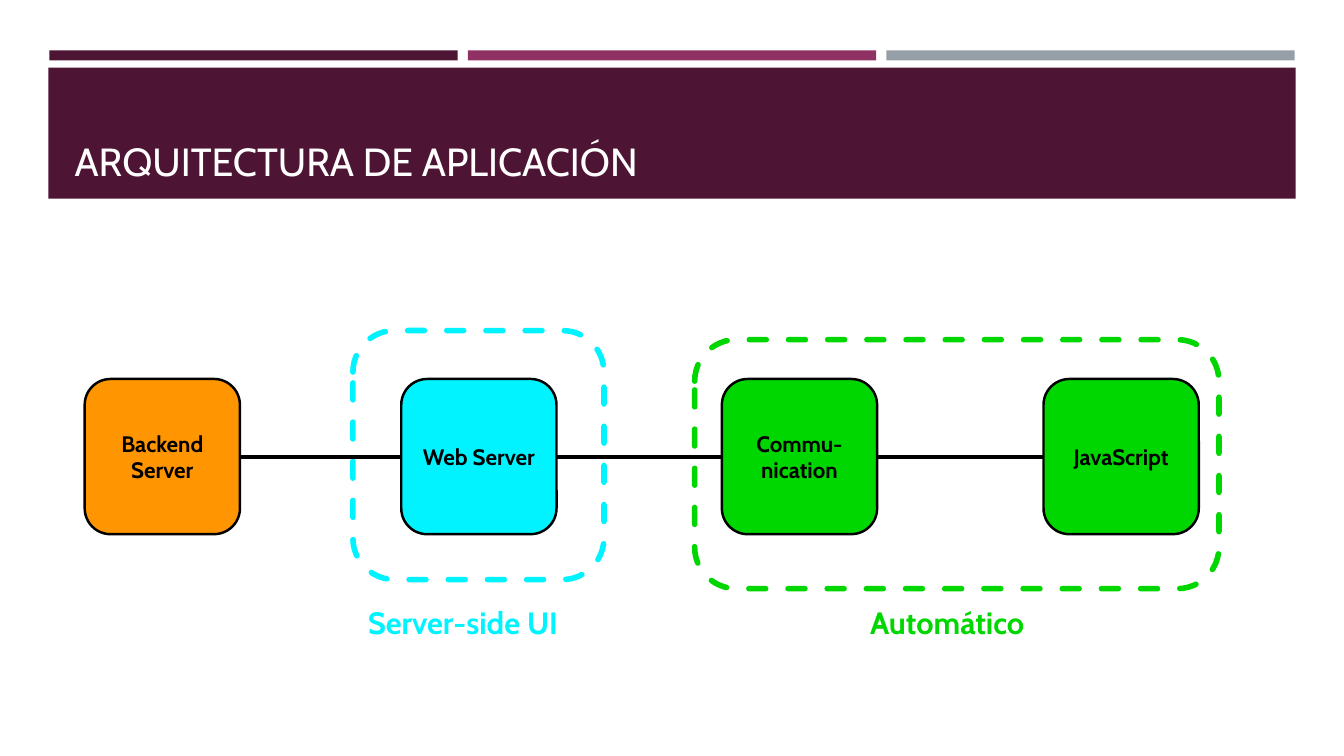
from pptx import Presentation
from pptx.dml.color import RGBColor
from pptx.enum.dml import MSO_LINE
from pptx.enum.shapes import MSO_CONNECTOR, MSO_SHAPE
from pptx.enum.text import MSO_ANCHOR, PP_ALIGN
from pptx.oxml.ns import qn
from pptx.util import Inches, Pt
from lxml.etree import SubElement

COLORS = {
    "plum": "4D1434", "berry": "903163", "gray": "969FA7",
    "green": "00D700", "cyan": "00F3FF", "orange": "FF9500",
    "black": "000000", "white": "FFFFFF",
}
FONT = "Cabin"
NODE_SIZE = 1.54
NODE_TOP = 3.76
LABEL_TOP = 5.99


def rgb(name):
    return RGBColor.from_string(COLORS[name])


def write(tf, text, size, color, bold=False, align=PP_ALIGN.LEFT,
          anchor=MSO_ANCHOR.TOP, insets=(0.1, 0.05, 0.1, 0.05)):
    tf.word_wrap = True
    tf.vertical_anchor = anchor
    tf.margin_left, tf.margin_top, tf.margin_right, tf.margin_bottom = map(Inches, insets)
    p = tf.paragraphs[0]
    p.alignment = align
    r = p.add_run()
    r.text = text
    r.font.name = FONT
    r.font.size = Pt(size)
    r.font.bold = bold
    r.font.color.rgb = rgb(color)


def add_box(s, kind, box, fill, line=None, width=0):
    sp = s.shapes.add_shape(kind, *map(Inches, box))
    sp.shadow.inherit = False
    sp.fill.solid()
    sp.fill.fore_color.rgb = rgb(fill)
    if line:
        sp.line.color.rgb = rgb(line)
        sp.line.width = Pt(width)
    else:
        sp.line.fill.background()
    return sp


def add_header(s, text):
    for i, color in enumerate(("plum", "berry", "gray")):
        add_box(s, MSO_SHAPE.RECTANGLE, (0.49 + i * 4.15, 0.5, 4.05, 0.1), color)
    add_box(s, MSO_SHAPE.RECTANGLE, (0.48, 0.67, 12.37, 1.3), "plum")
    title = s.shapes.title
    title.left, title.top, title.width, title.height = map(Inches, (0.64, 0.77, 12.06, 1.11))
    write(title.text_frame, text, 28, "white", anchor=MSO_ANCHOR.BOTTOM)
    s.shapes._spTree.append(title._element)


def add_zone(s, box, color):
    sp = add_box(s, MSO_SHAPE.ROUNDED_RECTANGLE, box, "white", color, 4)
    sp.line.dash_style = MSO_LINE.DASH
    sp.line._get_or_add_ln().set("cap", "rnd")


def add_node(s, left, text, fill):
    box = (left, NODE_TOP, NODE_SIZE, NODE_SIZE)
    sp = add_box(s, MSO_SHAPE.ROUNDED_RECTANGLE, box, fill, "black", 1.75)
    write(sp.text_frame, text, 16, "black", bold=True,
          align=PP_ALIGN.CENTER, anchor=MSO_ANCHOR.MIDDLE)
    return sp


def add_link(s, start, end):
    y = start.top + start.height // 2
    c = s.shapes.add_connector(MSO_CONNECTOR.STRAIGHT, start.left + start.width, y, end.left, y)
    c.line.color.rgb = rgb("black")
    c.line.width = Pt(3)
    SubElement(c._element.spPr, qn("a:effectLst"))


def add_label(s, left, width, text, color):
    tb = s.shapes.add_textbox(*map(Inches, (left, LABEL_TOP, width, 0.42)))
    write(tb.text_frame, text, 22, color, bold=True, insets=(0, 0, 0, 0.05))


def main():
    prs = Presentation()
    prs.slide_width, prs.slide_height = Inches(13.33), Inches(7.5)
    s = prs.slides.add_slide(prs.slide_layouts[5])
    add_header(s, "ARQUITECTURA DE APLICACIÓN")
    add_zone(s, (6.89, 3.37, 5.2, 2.47), "green")
    add_zone(s, (3.5, 3.28, 2.49, 2.47), "cyan")
    nodes = [add_node(s, *node) for node in (
        (0.84, "Backend Server", "orange"),
        (3.98, "Web Server", "cyan"),
        (7.16, "Commu-nication", "green"),
        (10.35, "JavaScript", "green"),
    )]
    for start, end in zip(nodes, nodes[1:]):
        add_link(s, start, end)
    add_label(s, 3.65, 2.19, "Server-side UI", "cyan")
    add_label(s, 8.63, 2.49, "Automático", "green")
    prs.save("out.pptx")


if __name__ == "__main__":
    main()
